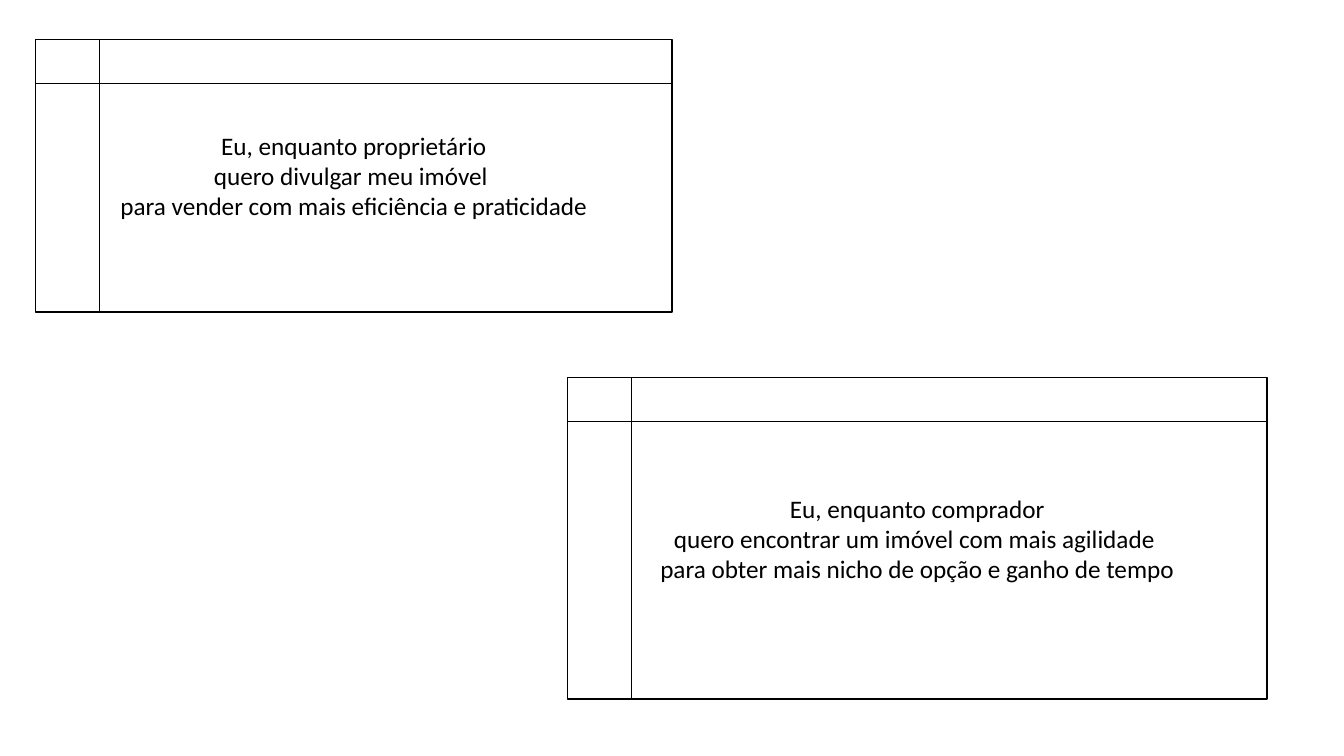
"""Build a slide with two user story cards, one for the owner and one for the buyer."""
from lxml.etree import SubElement
from pptx import Presentation
from pptx.dml.color import RGBColor
from pptx.enum.shapes import MSO_CONNECTOR as Connector, MSO_SHAPE as Shape
from pptx.enum.text import MSO_ANCHOR as Anchor, PP_ALIGN as Align
from pptx.oxml.ns import qn
from pptx.util import Cm, Pt

COLORS = {"paper": "FFFFFF", "ink": "000000"}
INK = RGBColor.from_string(COLORS["ink"])
PAPER = RGBColor.from_string(COLORS["paper"])
HEADER_HEIGHT = 1.1
MARGIN_WIDTH = 1.61

STORIES = [
    (0.89, 0.99, 16.05, 6.87, [
        "Eu, enquanto proprietário",
        "quero divulgar meu imóvel ",
        "para vender com mais eficiência e praticidade",
    ]),
    (14.3, 9.52, 17.63, 8.1, [
        "Eu, enquanto comprador",
        "quero encontrar um imóvel com mais agilidade ",
        "para obter mais nicho de opção e ganho de tempo",
    ]),
]

deck = Presentation()
deck.slide_width, deck.slide_height = Cm(33.87), Cm(19.05)
page = deck.slides.add_slide(deck.slide_layouts[6])

for left, top, width, height, lines in STORIES:
    card = page.shapes.add_shape(Shape.RECTANGLE, Cm(left), Cm(top), Cm(width), Cm(height))
    card.shadow.inherit = False
    card.fill.solid()
    card.fill.fore_color.rgb = PAPER
    card.line.color.rgb = INK
    card.line.width = Pt(1)

    frame = card.text_frame
    frame.word_wrap = True
    frame.vertical_anchor = Anchor.MIDDLE
    frame.text = "\n".join(lines)
    for para in frame.paragraphs:
        para.alignment = Align.CENTER
        para.font.name = "Calibri"
        para.font.size = Pt(18)
        para.font.color.rgb = INK

    header_y = top + HEADER_HEIGHT
    margin_x = left + MARGIN_WIDTH
    rules = [
        (left, header_y, left + width, header_y),
        (margin_x, top, margin_x, top + height),
    ]
    for ends in rules:
        rule = page.shapes.add_connector(Connector.STRAIGHT, *map(Cm, ends))
        rule.line.color.rgb = INK
        rule.line.width = Pt(0.5)
        SubElement(rule._element.spPr, qn("a:effectLst"))

deck.save("out.pptx")
